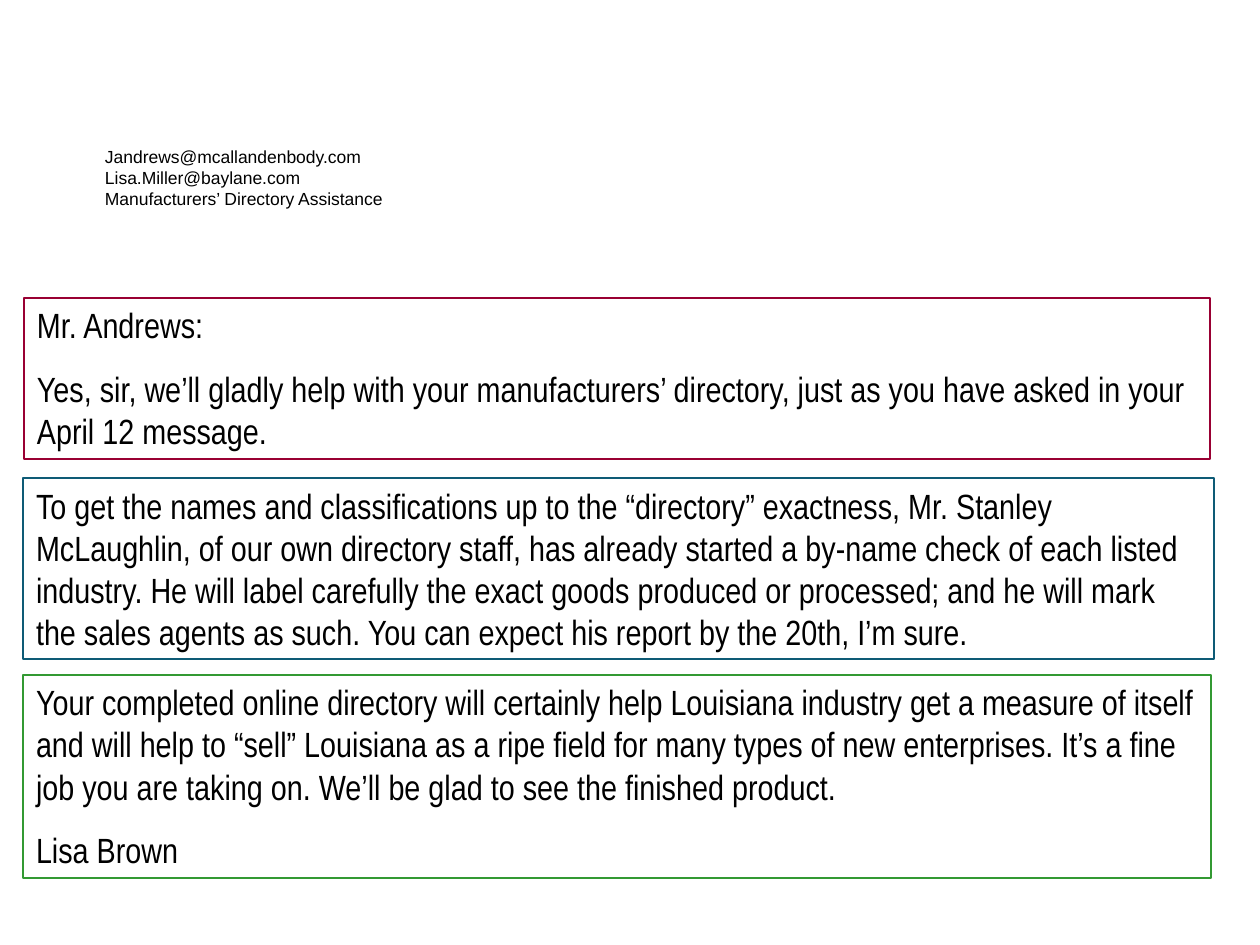
from pptx import Presentation
from pptx.dml.color import RGBColor
from pptx.enum.shapes import MSO_SHAPE
from pptx.enum.text import MSO_ANCHOR, MSO_AUTO_SIZE, PP_ALIGN
from pptx.util import Pt

RECTANGLE = MSO_SHAPE.RECTANGLE
TOP = MSO_ANCHOR.TOP
GROW = MSO_AUTO_SIZE.SHAPE_TO_FIT_TEXT
LEFT = PP_ALIGN.LEFT

PX = 914400 / 126
BLACK = RGBColor(0x00, 0x00, 0x00)
CRIMSON = RGBColor(0x99, 0x00, 0x33)
TEAL = RGBColor(0x0E, 0x5B, 0x76)
GREEN = RGBColor(0x33, 0x99, 0x33)

HEADER_BOX = (91, 139, 499, 77)
HEADER_LINES = [
    "Jandrews@mcallandenbody.com",
    "Lisa.Miller@baylane.com",
    "Manufacturers’ Directory Assistance",
]

LETTER_PARTS = [
    ((24, 298, 1186, 161), CRIMSON, [
        "Mr. Andrews:",
        "Yes, sir, we’ll gladly help with your manufacturers’ directory, "
        "just as you have asked in your April 12 message.",
    ]),
    ((23, 478, 1191, 181), TEAL, [
        "To get the names and classifications up to the “directory” exactness, "
        "Mr. Stanley McLaughlin, of our own directory staff, has already started "
        "a by-name check of each listed industry. He will label carefully the "
        "exact goods produced or processed; and he will mark the sales agents as "
        "such. You can expect his report by the 20th, I’m sure.",
    ]),
    ((23, 675, 1188, 203), GREEN, [
        "Your completed online directory will certainly help Louisiana industry "
        "get a measure of itself and will help to “sell” Louisiana as a ripe "
        "field for many types of new enterprises. It’s a fine job you are taking "
        "on. We’ll be glad to see the finished product.",
        "Lisa Brown",
    ]),
]


def emu(px):
    return round(px * PX)


def set_frame(frame, side, end):
    """Wrap the text from the top, with the given side and end insets in px."""
    frame.word_wrap = True
    frame.auto_size = GROW
    frame.vertical_anchor = TOP
    frame.margin_left = frame.margin_right = emu(side)
    frame.margin_top = frame.margin_bottom = emu(end)


def set_para(para, before):
    para.alignment = LEFT
    para.space_before = Pt(before)


def add_span(para, text, font, size):
    span = para.add_run()
    span.text = text
    span.font.name = font
    span.font.size = Pt(size)
    span.font.color.rgb = BLACK


def add_message_header(page, box, lines):
    frame = page.shapes.add_textbox(*map(emu, box)).text_frame
    set_frame(frame, side=14, end=7)
    para = frame.paragraphs[0]
    set_para(para, before=6.2)
    for index, line in enumerate(lines):
        if index:
            para.add_line_break()
        add_span(para, line, "Arial", 10)


def add_letter_part(page, box, color, paragraphs):
    outline = page.shapes.add_shape(RECTANGLE, *map(emu, box))
    outline.shadow.inherit = False
    outline.fill.background()
    outline.line.color.rgb = color
    outline.line.width = Pt(1.25)
    frame = outline.text_frame
    set_frame(frame, side=13, end=6)
    for index, text in enumerate(paragraphs):
        para = frame.add_paragraph() if index else frame.paragraphs[0]
        set_para(para, before=12.5)
        add_span(para, text, "Arial Narrow", 20)


def main():
    deck = Presentation()
    deck.slide_width, deck.slide_height = emu(1260), emu(945)
    page = deck.slides.add_slide(deck.slide_layouts.get_by_name("Blank"))
    add_message_header(page, HEADER_BOX, HEADER_LINES)
    for box, color, paragraphs in LETTER_PARTS:
        add_letter_part(page, box, color, paragraphs)
    deck.save("out.pptx")


if __name__ == "__main__":
    main()
